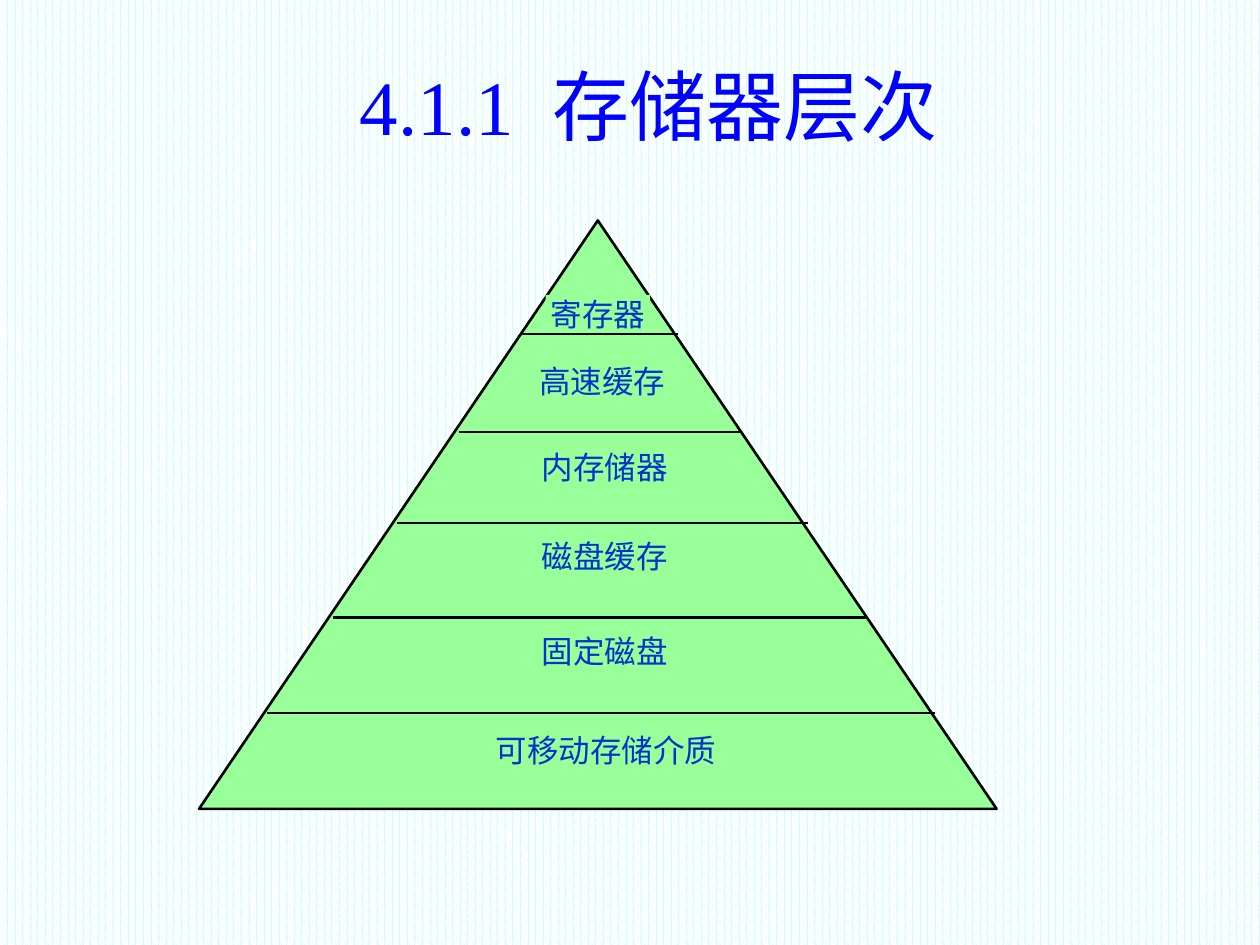
from lxml.etree import SubElement
from pptx import Presentation
from pptx.dml.color import RGBColor
from pptx.enum.dml import MSO_PATTERN
from pptx.enum.shapes import MSO_CONNECTOR, MSO_SHAPE
from pptx.enum.text import MSO_ANCHOR, PP_ALIGN
from pptx.oxml.ns import qn
from pptx.util import Inches, Pt

COLORS = {"title": "0000FF", "label": "0033CC", "fill": "99FF99",
          "line": "000000", "dots": "CCFFFF", "back": "FFFFFF"}
LATIN = "Times New Roman"
CJK = "Noto Sans CJK JP"

# Label, then left, top, width and height of its box
LEVELS = [
    ("寄存器", (4.33, 2.34, 0.83, 0.39)),
    ("高速缓存", (4.22, 2.87, 1.12, 0.41)),
    ("内存储器", (4.24, 3.56, 1.12, 0.56)),
    ("磁盘缓存", (4.24, 4.26, 1.12, 0.56)),
    ("固定磁盘", (4.24, 5.02, 1.12, 0.56)),
    ("可移动存储介质", (3.85, 5.8, 1.92, 0.56)),
]
# Left end, right end and height of the line below each level but the last
RULES = [(4.14, 5.38, 2.65), (3.64, 5.89, 3.43), (3.15, 6.41, 4.15),
         (2.64, 6.88, 4.9), (2.12, 7.42, 5.66)]


def color(name):
    return RGBColor.from_string(COLORS[name])


class Painter:
    def __init__(self, deck):
        self.slide = deck.slides.add_slide(deck.slide_layouts[5])
        self.shapes = self.slide.shapes

    def backdrop(self):
        fill = self.slide.background.fill
        fill.patterned()
        fill.pattern = MSO_PATTERN.PERCENT_60
        fill.fore_color.rgb = color("dots")
        fill.back_color.rgb = color("back")

    def words(self, frame, text, size, face, ink, anchor):
        frame.word_wrap = True
        frame.vertical_anchor = anchor
        para = frame.paragraphs[0]
        para.text = text
        para.alignment = PP_ALIGN.CENTER
        para.font.size = Pt(size)
        para.font.color.rgb = color(ink)
        para.font.name = face
        # Chinese glyphs take their face from a:ea
        props = para._p.pPr.find(qn("a:defRPr"))
        SubElement(props, qn("a:ea")).set("typeface", CJK)

    def title(self, text, box):
        shape = self.shapes.title
        shape.left, shape.top, shape.width, shape.height = map(Inches, box)
        self.words(shape.text_frame, text, 44, LATIN, "title", MSO_ANCHOR.MIDDLE)

    def block(self, kind, box):
        shape = self.shapes.add_shape(kind, *map(Inches, box))
        shape.shadow.inherit = False
        shape.fill.solid()
        shape.fill.fore_color.rgb = color("fill")
        shape.line.fill.background()
        return shape

    def stroke(self, line):
        line.color.rgb = color("line")
        line.width = Pt(1.5)

    def pyramid(self, box):
        self.stroke(self.block(MSO_SHAPE.ISOSCELES_TRIANGLE, box).line)

    def label(self, text, box):
        frame = self.block(MSO_SHAPE.RECTANGLE, box).text_frame
        frame.margin_left = frame.margin_right = 0
        frame.margin_top = frame.margin_bottom = 0
        self.words(frame, text, 18, CJK, "label", MSO_ANCHOR.TOP)

    def rule(self, left, right, top):
        ends = map(Inches, (left, top, right, top))
        line = self.shapes.add_connector(MSO_CONNECTOR.STRAIGHT, *ends)
        self.stroke(line.line)
        SubElement(line._element.spPr, qn("a:effectLst"))


def main():
    deck = Presentation()
    deck.slide_width, deck.slide_height = Inches(10), Inches(7.5)
    paint = Painter(deck)
    paint.backdrop()
    paint.title("4.1.1  存储器层次", (0.9, 0.21, 8.5, 1.25))
    paint.pyramid((1.58, 1.75, 6.33, 4.67))
    for text, box in LEVELS:
        paint.label(text, box)
    for ends in RULES:
        paint.rule(*ends)
    deck.save("out.pptx")


if __name__ == "__main__":
    main()
